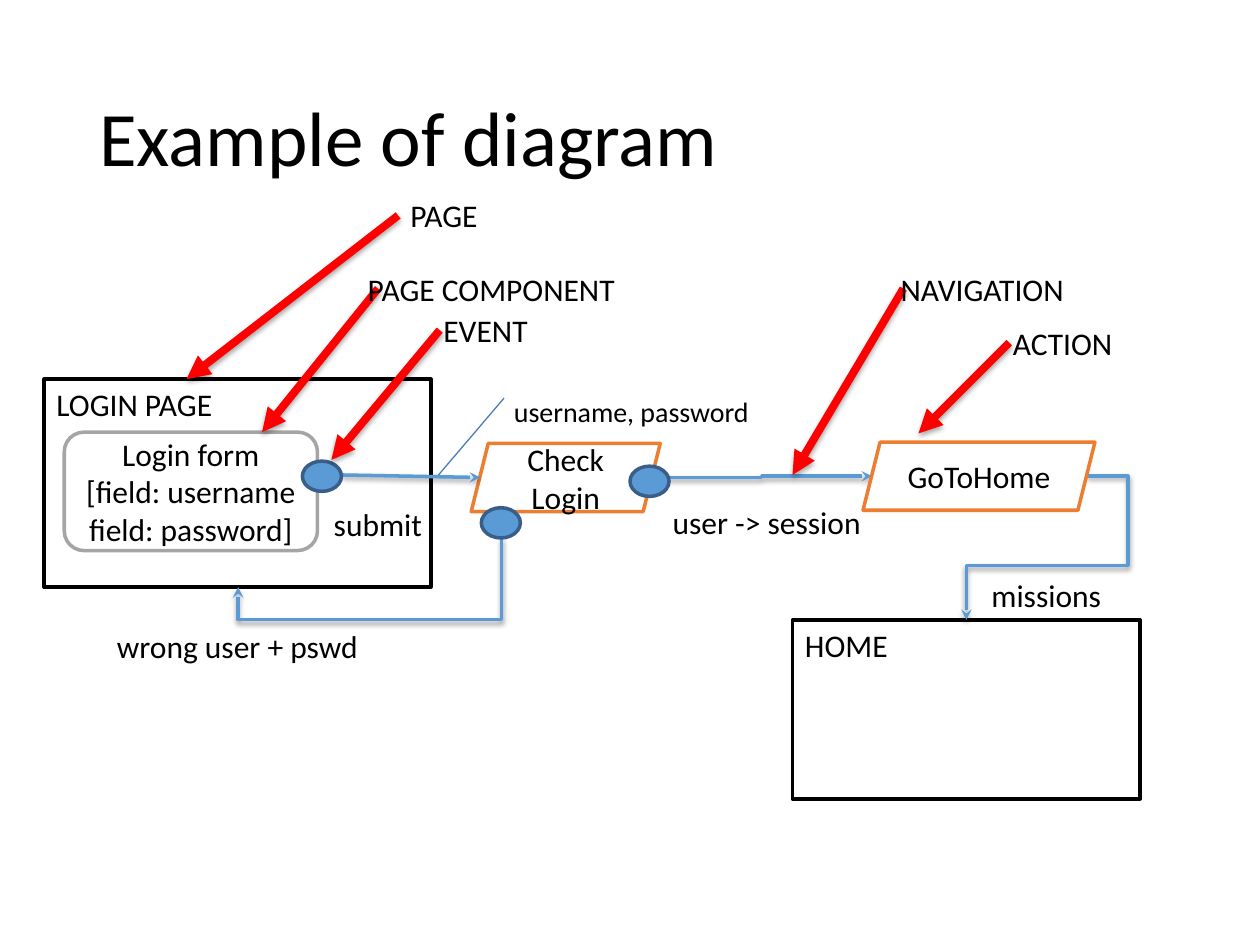
from lxml import etree
from pptx import Presentation
from pptx.dml.color import RGBColor
from pptx.enum.shapes import MSO_CONNECTOR, MSO_SHAPE
from pptx.enum.text import MSO_ANCHOR, MSO_AUTO_SIZE, PP_ALIGN
from pptx.oxml.ns import qn
from pptx.util import Inches, Pt

RECT, ROUNDED = MSO_SHAPE.RECTANGLE, MSO_SHAPE.ROUNDED_RECTANGLE
SLANTED, OVAL = MSO_SHAPE.PARALLELOGRAM, MSO_SHAPE.OVAL
STRAIGHT, ELBOW = MSO_CONNECTOR.STRAIGHT, MSO_CONNECTOR.ELBOW
TOP, MIDDLE = MSO_ANCHOR.TOP, MSO_ANCHOR.MIDDLE
LEFT, CENTER = PP_ALIGN.LEFT, PP_ALIGN.CENTER
FIT_SHAPE, NO_FIT = MSO_AUTO_SIZE.SHAPE_TO_FIT_TEXT, MSO_AUTO_SIZE.NONE

THEME = {
    "font": "Calibri", "text": "000000", "paper": "FFFFFF",
    "page": "000000", "form": "A5A5A5", "action": "ED7D31",
    "event": "5B9BD5", "event_edge": "395E89",
    "flow": "5B9BD5", "note": "4A7DBA", "callout": "FF0000",
    "title_size": 44, "body_size": 18, "note_size": 16,
    "outline": 2, "note_width": 0.75, "callout_width": 4.5,
}

# Boxes are (left, top, width, height) in inches; points are (x, y).
TITLE = ("Example of diagram", (0.69, 0.4, 8.62, 1.45))
PAGES = [
    ("LOGIN PAGE", (0.35, 3.01, 3.07, 1.65)),
    ("HOME", (6.29, 4.92, 2.76, 1.42)),
]
FORM = (["Login form\n[field: username", "field: password]"],
        (0.51, 3.43, 2.01, 0.94))
ACTIONS = [
    ("Check\nLogin", (3.74, 3.52, 1.5, 0.54)),
    ("GoToHome", (6.85, 3.51, 1.84, 0.54)),
]
EVENT_SIZE = (0.31, 0.24)
EVENTS = [(2.4, 3.66), (5, 3.7), (3.82, 4.03)]
FLOW_LABELS = [
    ("submit", (2.55, 3.96, 0.91, 0.3)),
    ("wrong user + pswd", (0.83, 4.93, 2.72, 0.3)),
    ("user -> session", (5.24, 3.94, 1.7, 0.3)),
    ("missions", (7.77, 4.52, 1.7, 0.3)),
]
PARAMETERS = ("username, password", (3.98, 3.08, 2.39, 0.34))
PARAMETERS_LINE = ((4, 3.16), (3.48, 3.77))
SUBMIT_FLOW = ((2.72, 3.77), (3.81, 3.79))
# start, end, preset, bends as shares of the size, leaves downwards
BENT_FLOWS = [
    ((5.17, 3.79), (6.92, 3.78), "bentConnector3", [0.5], False),
    ((3.98, 4.27), (1.89, 4.66), "bentConnector3", [1.66], True),
    ((8.62, 3.78), (7.67, 4.92), "bentConnector4", [-0.35, 0.62], False),
]
# text, left and top of the text, width, arrow start, arrow end
CALLOUTS = [
    ("PAGE COMPONENT", (2.82, 2.09), 2.55, (3, 2.29), (2.08, 3.43)),
    ("PAGE", (3.16, 1.51), 0.74, (3.16, 1.71), (1.48, 3.01)),
    ("EVENT", (3.42, 2.42), 1.02, (3.49, 2.62), (2.63, 3.65)),
    ("ACTION", (7.94, 2.52), 1.15, (8.01, 2.72), (7.29, 3.44)),
    ("NAVIGATION", (7.05, 2.09), 1.74, (7.17, 2.29), (6.29, 3.77)),
]
CALLOUT_HEIGHT = 0.4


def color(role):
    return RGBColor.from_string(THEME[role])


def inches(numbers):
    return [Inches(number) for number in numbers]


def apply_format(target, values):
    for name, value in values.items():
        setattr(target, name, value)


def write(shape, text, size="body_size", anchor=TOP, align=LEFT,
          wrap=True, fit=NO_FIT, spacing=None):
    """Fill a shape with a string, or with a list of paragraphs."""
    frame = shape.text_frame
    apply_format(frame, {"word_wrap": wrap, "auto_size": fit,
                         "vertical_anchor": anchor})
    paragraphs = [text] if isinstance(text, str) else text
    for index, words in enumerate(paragraphs):
        paragraph = frame.add_paragraph() if index else frame.paragraphs[0]
        paragraph.text = words
        apply_format(paragraph, {"alignment": align, "line_spacing": spacing})
        for run in paragraph.runs:
            apply_format(run.font, {"name": THEME["font"], "size": Pt(THEME[size])})
            run.font.color.rgb = color("text")


def add_label(shapes, text, box, **text_format):
    write(shapes.add_textbox(*inches(box)), text, **text_format)


def add_block(shapes, preset, box, fill, edge=None):
    block = shapes.add_shape(preset, *inches(box))
    block.shadow.inherit = False
    block.fill.solid()
    block.fill.fore_color.rgb = color(fill)
    if edge:
        block.line.color.rgb = color(edge)
        block.line.width = Pt(THEME["outline"])
    else:
        block.line.fill.background()
    return block


def add_line(shapes, start, end, role, width, head=None, opacity=0, kind=STRAIGHT):
    """Draw a connector; opacity is that of its shadow, in percent."""
    line = shapes.add_connector(kind, *inches(start + end))
    line.line.color.rgb = color(role)
    line.line.width = Pt(THEME[width])
    properties = line._element.spPr
    if head:
        etree.SubElement(properties.find(qn("a:ln")), qn("a:tailEnd"), type=head)
    effects = etree.SubElement(properties, qn("a:effectLst"))
    if opacity:
        shadow = etree.SubElement(effects, qn("a:outerShdw"), blurRad=str(Pt(3.1)),
                                  dist=str(Pt(1.6)), dir="5400000", rotWithShape="0")
        tint = etree.SubElement(shadow, qn("a:srgbClr"), val=THEME["text"])
        etree.SubElement(tint, qn("a:alpha"), val=str(opacity * 1000))
    return line


def add_bent_flow(shapes, start, end, preset, bends, downwards):
    """Draw an elbow arrow; one that leaves downwards is a quarter turn of another."""
    if downwards:
        (x1, y1), (x2, y2) = start, end
        mid_x, mid_y = (x1 + x2) / 2, (y1 + y2) / 2
        half_x, half_y = (y2 - y1) / 2, (x1 - x2) / 2
        start = (mid_x - half_x, mid_y - half_y)
        end = (mid_x + half_x, mid_y + half_y)
    line = add_line(shapes, start, end, "flow", "outline", "stealth", 38, ELBOW)
    properties = line._element.spPr
    if downwards:
        properties.find(qn("a:xfrm")).set("rot", "5400000")
    geometry = properties.find(qn("a:prstGeom"))
    geometry.set("prst", preset)
    guides = geometry.find(qn("a:avLst"))
    for number, bend in enumerate(bends, 1):
        etree.SubElement(guides, qn("a:gd"), name=f"adj{number}",
                         fmla=f"val {round(bend * 100000)}")


def main():
    deck = Presentation()
    deck.slide_width, deck.slide_height = inches((10, 7.5))
    shapes = deck.slides.add_slide(deck.slide_layouts[6]).shapes

    title, title_box = TITLE
    add_label(shapes, title, title_box, size="title_size", anchor=MIDDLE, spacing=0.9)
    for text, box in PAGES:
        write(add_block(shapes, RECT, box, "paper", "page"), text)
    text, box = FORM
    write(add_block(shapes, ROUNDED, box, "paper", "form"), text,
          anchor=MIDDLE, align=CENTER)
    text, box = PARAMETERS
    write(add_block(shapes, RECT, box, "paper"), text, size="note_size")
    add_line(shapes, *PARAMETERS_LINE, "note", "note_width")

    for flow in BENT_FLOWS:
        add_bent_flow(shapes, *flow)
    for text, box in ACTIONS:
        write(add_block(shapes, SLANTED, box, "paper", "action"), text,
              anchor=MIDDLE, align=CENTER)
    add_line(shapes, *SUBMIT_FLOW, "flow", "outline", "stealth", 38)
    for corner in EVENTS:
        add_block(shapes, OVAL, corner + EVENT_SIZE, "event", "event_edge")
    for text, box in FLOW_LABELS:
        add_label(shapes, text, box)

    for text, corner, width, start, end in CALLOUTS:
        add_line(shapes, start, end, "callout", "callout_width", "triangle", 35)
        add_label(shapes, text, corner + (width, CALLOUT_HEIGHT),
                  wrap=False, fit=FIT_SHAPE)

    deck.save("out.pptx")


if __name__ == "__main__":
    main()
